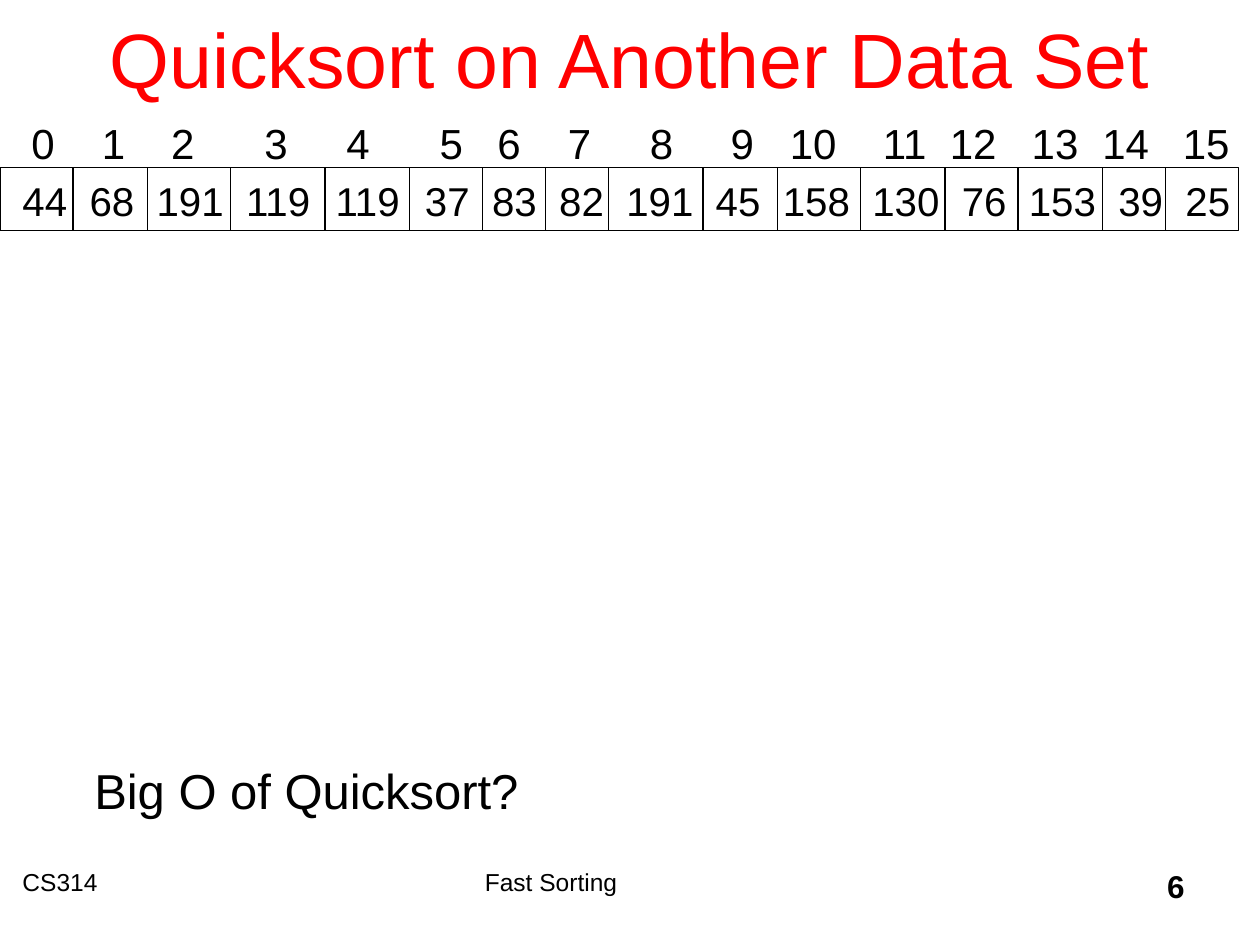
from itertools import accumulate

from lxml.etree import SubElement
from pptx import Presentation
from pptx.dml.color import RGBColor
from pptx.enum.shapes import MSO_CONNECTOR, MSO_SHAPE
from pptx.enum.text import MSO_ANCHOR, PP_ALIGN
from pptx.oxml.ns import qn
from pptx.util import Inches, Pt

BLACK = "000000"
RED = "FF0000"
VALUES = [44, 68, 191, 119, 119, 37, 83, 82, 191, 45, 158, 130, 76, 153, 39, 25]
VALUE_DIGIT = 0.1775
INDEX_STOPS = [0.56, 1.11, 1.85, 2.5, 3.24, 3.7, 4.26, 4.91, 5.55,
               6.02, 6.76, 7.29, 7.94, 8.5, 9.14]
DIVIDERS = [0.58, 1.17, 1.83, 2.58, 3.25, 3.83, 4.33, 4.83, 5.58,
            6.17, 6.83, 7.5, 8.08, 8.75, 9.25]


def color(value):
    return RGBColor.from_string(value)


def add_text(slide, box, text, size, text_color=BLACK, align=PP_ALIGN.LEFT,
             anchor=MSO_ANCHOR.TOP, bold=False):
    shape = slide.shapes.add_textbox(*map(Inches, box))
    frame = shape.text_frame
    frame.word_wrap = True
    frame.vertical_anchor = anchor
    paragraph = frame.paragraphs[0]
    paragraph.text = text
    paragraph.alignment = align
    paragraph.font.name = "Arial"
    paragraph.font.size = Pt(size)
    paragraph.font.bold = bold
    paragraph.font.color.rgb = color(text_color)
    return shape


def add_number_row(slide, box, numbers, stops, size):
    shape = add_text(slide, box, "\t".join(map(str, numbers)), size)
    frame = shape.text_frame
    frame.margin_right = 0
    properties = frame.paragraphs[0]._p.get_or_add_pPr()
    tabs = SubElement(properties, qn("a:tabLst"))
    properties.insert(0, tabs)
    for stop in stops:
        SubElement(tabs, qn("a:tab"), pos=str(Inches(stop)), algn="l")


def add_array(slide, left, top, width, height):
    value_stops = accumulate((len(str(value)) + 1) * VALUE_DIGIT
                             for value in VALUES[:-1])
    add_number_row(slide, (left + 0.08, top + 0.02, width, height),
                   VALUES, value_stops, 23)

    frame = slide.shapes.add_shape(
        MSO_SHAPE.RECTANGLE, *map(Inches, (left, top, width, height)))
    frame.shadow.inherit = False
    frame.fill.background()
    frame.line.color.rgb = color(BLACK)
    frame.line.width = Pt(0.75)

    for offset in DIVIDERS:
        x = Inches(left + offset)
        divider = slide.shapes.add_connector(
            MSO_CONNECTOR.STRAIGHT, x, Inches(top), x, Inches(top + height))
        divider.line.color.rgb = color(BLACK)
        divider.line.width = Pt(0.75)
        SubElement(divider._element.spPr, qn("a:effectLst"))

    add_number_row(slide, (left + 0.15, top - 0.45, width, 0.5),
                   range(len(VALUES)), INDEX_STOPS, 24)


def add_footer(slide, left, top, height):
    add_text(slide, (left, top, 2.92, height), "CS314", 14)
    add_text(slide, (left + 3.67, top, 3.33, height), "Fast Sorting", 14)
    add_text(slide, (left + 7.34, top, 2.08, height), "6", 18,
             align=PP_ALIGN.RIGHT, bold=True)


def main():
    presentation = Presentation()
    presentation.slide_width = Inches(10)
    presentation.slide_height = Inches(7.5)
    slide = presentation.slides.add_slide(presentation.slide_layouts[6])
    add_footer(slide, 0.08, 6.83, 0.5)
    add_text(slide, (0.75, -0.17, 8.5, 1.25), "Quicksort on Another Data Set",
             44, RED, PP_ALIGN.CENTER, MSO_ANCHOR.MIDDLE)
    add_array(slide, 0, 1.33, 9.83, 0.5)
    add_text(slide, (0.65, 5.99, 3.57, 0.57), "Big O of Quicksort?", 28)
    presentation.save("out.pptx")


if __name__ == "__main__":
    main()
